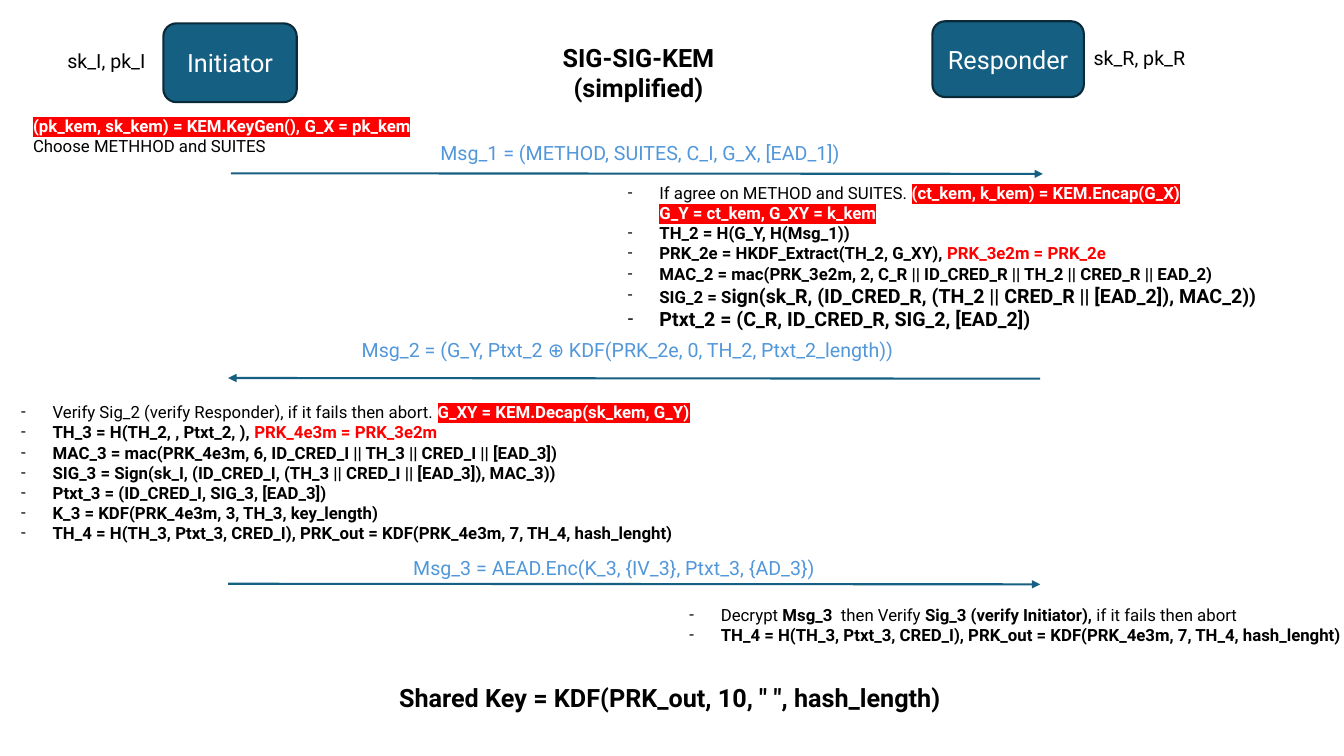
from dataclasses import dataclass

from lxml import etree
from pptx import Presentation
from pptx import util as u
from pptx.dml.color import RGBColor
from pptx.enum import shapes, text
from pptx.oxml import ns


@dataclass(frozen=True)
class Theme:
    font: str = "Roboto"
    ink: str = "000000"
    paper: str = "FFFFFF"
    party: str = "156082"
    party_edge: str = "092A39"
    message: str = "5197DA"
    change: str = "FF0000"
    step_size: float = 12
    message_size: float = 14
    title_size: float = 18
    stroke: float = 1.5
    hanging: float = 22.5


THEME = Theme()


def say(content, size=THEME.step_size, color=THEME.ink, bold=False, highlight=None):
    return content, size, color, bold, highlight


def strong(content, **format):
    return say(content, bold=True, **format)


def changed(content, bold=True):
    return say(content, color=THEME.paper, bold=bold, highlight=THEME.change)


def add_xml(parent, tag, **attributes):
    return etree.SubElement(parent, ns.qn(tag), **attributes)


class ProtocolSlide:
    def __init__(self, slide, theme):
        self.slide = slide
        self.theme = theme

    def set_text(self, frame, paragraphs, align=None, dashed=False):
        for index, runs in enumerate(paragraphs):
            paragraph = frame.paragraphs[0] if index == 0 else frame.add_paragraph()
            if align is not None:
                paragraph.alignment = align
            if dashed:
                props = paragraph._p.get_or_add_pPr()
                hanging = u.Pt(self.theme.hanging)
                props.set("marL", str(hanging))
                props.set("indent", str(-hanging))
                add_xml(props, "a:buFont", typeface=self.theme.font)
                add_xml(props, "a:buChar", char="-")
            for content, size, color, bold, highlight in runs:
                run = paragraph.add_run()
                run.text = content
                font = run.font
                font.size, font.bold = u.Pt(size), bold
                font.color.rgb = RGBColor.from_string(color)
                if highlight:
                    marker = etree.Element(ns.qn("a:highlight"))
                    add_xml(marker, "a:srgbClr", val=highlight)
                    run._r.rPr.find(ns.qn("a:solidFill")).addnext(marker)
                font.name = self.theme.font

    def party(self, name, left, top, width, height):
        box = self.slide.shapes.add_shape(
            shapes.MSO_SHAPE.ROUNDED_RECTANGLE, *map(u.Pt, (left, top, width, height)))
        box.shadow.inherit = False
        box.fill.solid()
        box.fill.fore_color.rgb = RGBColor.from_string(self.theme.party)
        box.line.color.rgb = RGBColor.from_string(self.theme.party_edge)
        box.line.width = u.Pt(self.theme.stroke)
        box.text_frame.vertical_anchor = text.MSO_ANCHOR.MIDDLE
        label = say(name, size=self.theme.title_size, color=self.theme.paper)
        self.set_text(box.text_frame, [[label]], align=text.PP_ALIGN.CENTER)

    def note(self, paragraphs, left, top, width, height, **layout):
        box = self.slide.shapes.add_textbox(*map(u.Pt, (left, top, width, height)))
        box.text_frame.word_wrap = True
        box.text_frame.auto_size = text.MSO_AUTO_SIZE.SHAPE_TO_FIT_TEXT
        self.set_text(box.text_frame, paragraphs, **layout)

    def steps(self, paragraphs, left, top, width, height):
        self.note(paragraphs, left, top, width, height, dashed=True)

    def message(self, content, left, top, width):
        caption = say(content, size=self.theme.message_size, color=self.theme.message)
        self.note([[caption]], left, top, width, 24.2)

    def arrow(self, start_x, start_y, end_x, end_y):
        line = self.slide.shapes.add_connector(
            shapes.MSO_CONNECTOR.STRAIGHT, *map(u.Pt, (start_x, start_y, end_x, end_y)))
        line.line.color.rgb = RGBColor.from_string(self.theme.party)
        line.line.width = u.Pt(self.theme.stroke)
        props = line._element.spPr
        add_xml(props.find(ns.qn("a:ln")), "a:tailEnd", type="triangle")
        add_xml(props, "a:effectLst")


def main():
    deck = Presentation()
    deck.slide_width, deck.slide_height = u.Pt(960), u.Pt(540)
    protocol = ProtocolSlide(deck.slides.add_slide(deck.slide_layouts[6]), THEME)
    large, title = THEME.message_size, THEME.title_size
    final_hash = strong(
        "TH_4 = H(TH_3, Ptxt_3, CRED_I), PRK_out = KDF(PRK_4e3m, 7, TH_4, hash_lenght)")

    protocol.party("Initiator", 116.7, 16.7, 95.3, 56.3)
    protocol.party("Responder", 666, 15.2, 108.2, 54.1)
    protocol.note([[say("sk_I, pk_I", size=large)]], 41, 31.7, 95, 24.2)
    protocol.note([[say("sk_R, pk_R", size=large)]], 774, 29.5, 106.6, 24.2)
    protocol.note([[strong("SIG-SIG-KEM (simplified)", size=title)]],
                  392.4, 26.6, 127.4, 51, align=text.PP_ALIGN.CENTER)

    protocol.note([
        [changed("(pk_kem, sk_kem) = KEM.KeyGen(),"), changed(" ", bold=False),
         changed("G_X = pk_kem")],
        [say("Choose METHHOD and SUITES")],
    ], 16.5, 79.2, 469.4, 36)

    protocol.message("Msg_1 = (METHOD, SUITES, C_I, G_X, [EAD_1])", 307.4, 97.2, 373.7)
    protocol.arrow(165, 123.8, 745, 124.2)

    protocol.steps([
        [say("If agree on METHOD and SUITES. "),
         changed("(ct_kem, k_kem) = KEM.Encap(G_X)")],
        [changed("G_Y = ct_kem, G_XY = k_kem")],
        [strong("TH_2 = H(G_Y, H(Msg_1))")],
        [strong("PRK_2e = HKDF_Extract(TH_2, G_XY), "),
         strong("PRK_3e2m = PRK_2e", color=THEME.change)],
        [strong("MAC_2 = mac(PRK_3e2m, 2, C_R || ID_CRED_R || TH_2 || CRED_R || EAD_2)")],
        [strong("SIG_2 = S"),
         strong("ign(sk_R, (ID_CRED_R, (TH_2 || CRED_R || [EAD_2]), MAC_2))", size=large)],
        [strong("Ptxt_2 = (C_R, ID_CRED_R, SIG_2, [EAD_2])", size=large)],
    ], 441.4, 126.9, 469.4, 113.8)

    protocol.message("Msg_2 = (G_Y, Ptxt_2 ⊕ KDF(PRK_2e, 0, TH_2, Ptxt_2_length))",
                     251.3, 237.8, 690)
    protocol.arrow(743, 270.5, 163, 270)

    protocol.steps([
        [say("Verify Sig_2 (verify Responder), if it fails then abort. "),
         changed("G_XY = KEM.Decap(sk_kem, G_Y)")],
        [strong("TH_3 = H(TH_2, , Ptxt_2, ), "),
         strong("PRK_4e3m = PRK_3e2m", color=THEME.change)],
        [strong("MAC_3 = mac(PRK_4e3m, 6, ID_CRED_I || TH_3 || CRED_I || [EAD_3])")],
        [strong("SIG_3 = Sign(sk_I, (ID_CRED_I, (TH_3 || CRED_I || [EAD_3]), MAC_3))")],
        [strong("Ptxt_3 = (ID_CRED_I, SIG_3, [EAD_3])")],
        [strong("K_3 = KDF(PRK_4e3m, 3, TH_3, key_length)")],
        [final_hash],
    ], 8, 283.6, 654.5, 123.8)

    protocol.message("Msg_3 = AEAD.Enc(K_3, {IV_3}, Ptxt_3, {AD_3})", 288, 393.3, 373.7)
    protocol.arrow(163, 417, 743, 417.4)

    protocol.steps([
        [say("Decrypt "), strong("Msg_3  "), say("then Verify "),
         strong("Sig_3 (verify Initiator),"), say(" if it fails then abort")],
        [final_hash],
    ], 485.3, 428.4, 497.5, 36)

    protocol.note([[strong('Shared Key = KDF(PRK_out, 10, " ", hash_length)', size=title)]],
                  278, 483.8, 403.2, 29)
    deck.save("out.pptx")


if __name__ == "__main__":
    main()
